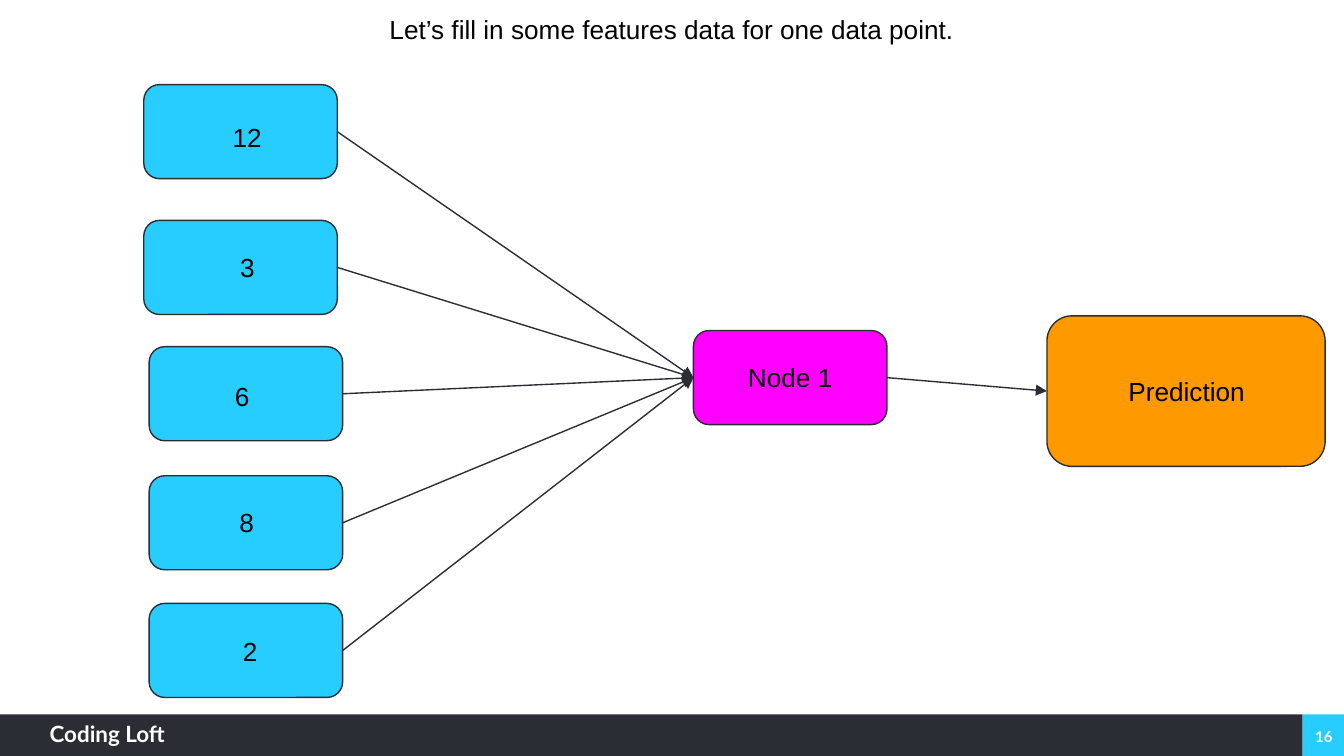
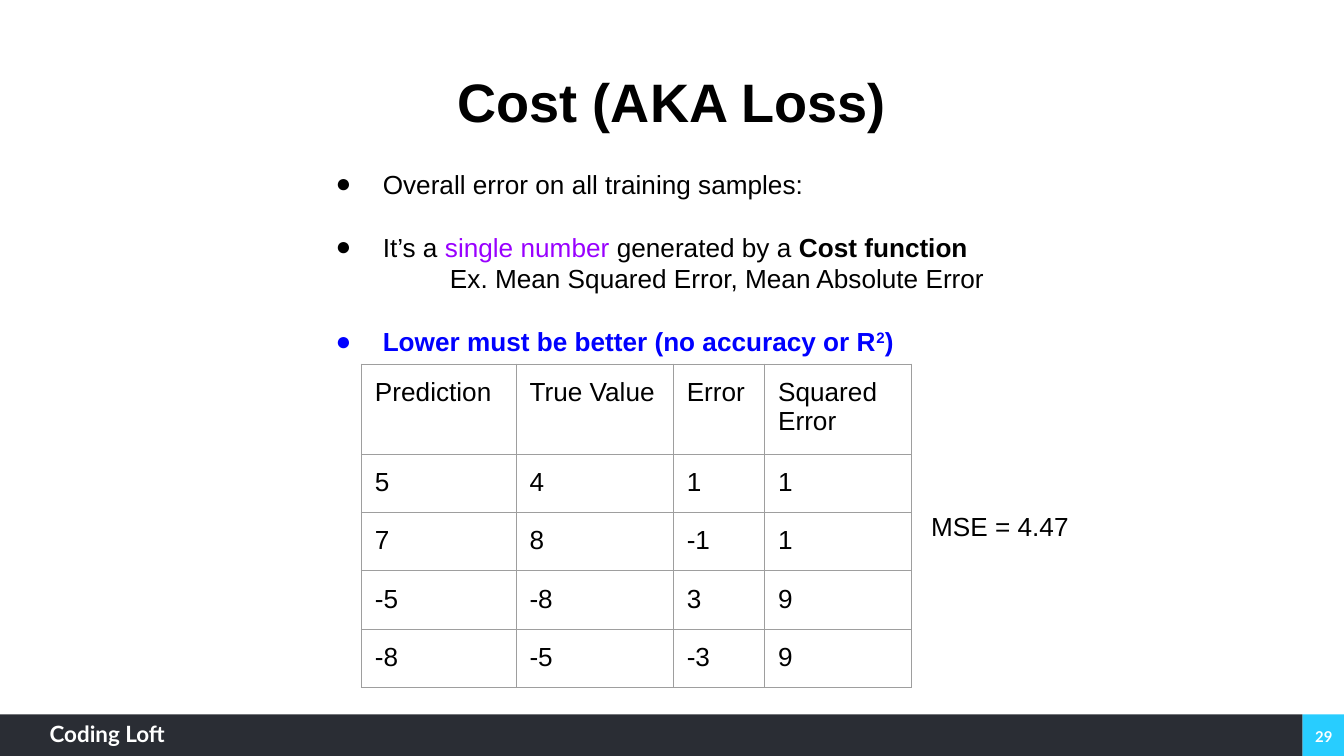
from dataclasses import dataclass

from lxml.etree import SubElement
from pptx import Presentation
from pptx.dml.color import RGBColor
from pptx.enum.shapes import MSO_CONNECTOR, MSO_SHAPE
from pptx.enum.text import MSO_ANCHOR, MSO_AUTO_SIZE, PP_ALIGN
from pptx.oxml.ns import qn
from pptx.shapes.autoshape import Shape
from pptx.slide import Slide
from pptx.text.text import _Paragraph as Paragraph
from pptx.util import Inches, Pt

BLACK = RGBColor(0x00, 0x00, 0x00)
WHITE = RGBColor(0xFF, 0xFF, 0xFF)
CYAN = RGBColor(0x28, 0xCD, 0xFF)
CHARCOAL = RGBColor(0x2A, 0x2D, 0x34)
ORANGE = RGBColor(0xFF, 0x99, 0x00)
MAGENTA = RGBColor(0xFF, 0x00, 0xFF)
PURPLE = RGBColor(0x99, 0x00, 0xFF)
BLUE = RGBColor(0x00, 0x00, 0xFF)
GRID_GREY = RGBColor(0x9E, 0x9E, 0x9E)

SLIDE_WIDTH = 10
SLIDE_HEIGHT = SLIDE_WIDTH * 9 / 16
BODY_FONT, FOOTER_FONT = "Arial", "Lato"
BODY_SIZE = 14
BAND_HEIGHT, BAND_WIDTH = 0.31, 9.69
BAND_TOP = SLIDE_HEIGHT - BAND_HEIGHT
NODE_WIDTH, NODE_HEIGHT = 1.44, 0.7
LABEL_HEIGHT = 0.44
OUTLINE = Pt(0.75)
TEXT_INSET = 0.1
RIGHT_SIDE, LEFT_SIDE = 3, 1


@dataclass(frozen=True)
class Box:
    """Position and size in inches."""
    left: float
    top: float
    width: float = NODE_WIDTH
    height: float = NODE_HEIGHT

    def lengths(self) -> tuple:
        """Return the four values as lengths."""
        return tuple(Inches(v) for v in (self.left, self.top, self.width, self.height))


@dataclass(frozen=True)
class Span:
    """A run of text and its look."""
    text: str
    color: RGBColor = BLACK
    bold: bool = False
    size: float = BODY_SIZE
    font: str = BODY_FONT
    superscript: bool = False


@dataclass(frozen=True)
class Point:
    """A paragraph of the cost explanation."""
    spans: tuple[Span, ...]
    bullet: RGBColor | None = None
    gap_after: float = 0


@dataclass(frozen=True)
class Feature:
    """An input value with its node and label positions."""
    value: str
    node: Box
    label: Box
    align: PP_ALIGN = PP_ALIGN.CENTER


FEATURES = (
    Feature("12", Box(1.07, 0.63), Box(1.27, 0.8, 1.14, LABEL_HEIGHT)),
    Feature("3", Box(1.07, 1.64), Box(1.27, 1.77, 1.14, LABEL_HEIGHT)),
    Feature("6", Box(1.11, 2.58), Box(1.65, 2.73, 0.47, 0.67), PP_ALIGN.LEFT),
    Feature("8", Box(1.11, 3.54), Box(1.55, 3.67, 0.57, LABEL_HEIGHT)),
    Feature("2", Box(1.11, 4.49), Box(1.71, 4.63, 0.24, LABEL_HEIGHT), PP_ALIGN.LEFT),
)

COST_POINTS = (
    Point((Span("Overall error on all training samples:"),), BLACK, 17),
    Point((Span("It’s a "), Span("single number", PURPLE), Span(" generated by a "),
           Span("Cost function", bold=True)), BLACK),
    Point((Span("Ex. Mean Squared Error, Mean Absolute Error"),), gap_after=17),
    Point((Span("Lower must be better (no accuracy or R", BLUE, True),
           Span("2", BLUE, True, superscript=True), Span(")", BLUE, True)), BLUE),
)

ERROR_COLUMNS = {"Prediction": 1.15, "True Value": 1.17, "Error": 0.68, "Squared Error": 1.09}
PREDICTIONS = ((5, 4), (7, 8), (-5, -8), (-8, -5))
HEADER_HEIGHT, ROW_HEIGHT = 0.67, 0.43


def add_span(paragraph: Paragraph, span: Span) -> None:
    """Append one formatted run."""
    run = paragraph.add_run()
    run.text = span.text
    run.font.name = span.font
    run.font.size = Pt(span.size)
    run.font.bold = span.bold
    run.font.color.rgb = span.color
    if span.superscript:
        run._r.get_or_add_rPr().set("baseline", "30000")


def add_text(slide: Slide, box: Box, *spans: Span, align: PP_ALIGN = PP_ALIGN.LEFT,
             insets: tuple[float, float] = (TEXT_INSET, TEXT_INSET), grow: bool = True,
             anchor: MSO_ANCHOR = MSO_ANCHOR.TOP) -> Shape:
    """Add a wrapping text box holding one paragraph."""
    label = slide.shapes.add_textbox(*box.lengths())
    frame = label.text_frame
    frame.word_wrap = True
    frame.auto_size = MSO_AUTO_SIZE.SHAPE_TO_FIT_TEXT if grow else MSO_AUTO_SIZE.NONE
    frame.vertical_anchor = anchor
    frame.margin_left = frame.margin_right = Inches(insets[0])
    frame.margin_top = frame.margin_bottom = Inches(insets[1])
    frame.paragraphs[0].alignment = align
    for span in spans:
        add_span(frame.paragraphs[0], span)
    return label


def add_block(slide: Slide, box: Box, fill: RGBColor,
              kind: MSO_SHAPE = MSO_SHAPE.RECTANGLE) -> Shape:
    """Add a flat filled shape without an outline."""
    block = slide.shapes.add_shape(kind, *box.lengths())
    block.shadow.inherit = False
    block.fill.solid()
    block.fill.fore_color.rgb = fill
    block.line.fill.background()
    return block


def add_node(slide: Slide, box: Box, fill: RGBColor) -> Shape:
    """Add an outlined rounded network node."""
    node = add_block(slide, box, fill, MSO_SHAPE.ROUNDED_RECTANGLE)
    node.line.color.rgb = CHARCOAL
    node.line.width = OUTLINE
    return node


def add_arrow(slide: Slide, source: Shape, target: Shape) -> None:
    """Join the right side of one node to the left side of another."""
    arrow = slide.shapes.add_connector(MSO_CONNECTOR.STRAIGHT, 0, 0, 0, 0)
    arrow.begin_connect(source, RIGHT_SIDE)
    arrow.end_connect(target, LEFT_SIDE)
    arrow.line.color.rgb = CHARCOAL
    arrow.line.width = OUTLINE
    SubElement(arrow.line._get_or_add_ln(), qn("a:tailEnd"), type="triangle")
    SubElement(arrow._element.spPr, qn("a:effectLst"))


def add_footer(slide: Slide, number: int) -> None:
    """Add the bottom band, the school name and the slide number."""
    add_block(slide, Box(BAND_WIDTH, BAND_TOP, SLIDE_WIDTH - BAND_WIDTH, BAND_HEIGHT), CYAN)
    add_block(slide, Box(0, BAND_TOP, BAND_WIDTH, BAND_HEIGHT), CHARCOAL)
    add_text(slide, Box(0.37, 5.36, 1.57, 0.23),
             Span("Coding Loft", WHITE, True, 12, FOOTER_FONT), insets=(0, 0), grow=False)
    add_text(slide, Box(9.7, 5.33, 0.3, 0.3),
             Span(str(number), WHITE, True, 8, FOOTER_FONT), align=PP_ALIGN.CENTER,
             insets=(0.07, 0.04), grow=False, anchor=MSO_ANCHOR.MIDDLE)


def format_point(paragraph: Paragraph, point: Point) -> None:
    """Write a point with its indent, spacing and bullet."""
    paragraph.space_after = Pt(point.gap_after)
    props = paragraph._p.get_or_add_pPr()
    props.set("marL", str(Inches(0.5 if point.bullet else 1)))
    props.set("indent", str(Inches(-0.35 if point.bullet else 0)))
    if point.bullet:
        bullet_color = SubElement(props, qn("a:buClr"))
        SubElement(bullet_color, qn("a:srgbClr"), val=str(point.bullet))
        SubElement(props, qn("a:buSzPts"), val=str(BODY_SIZE * 100))
        SubElement(props, qn("a:buFont"), typeface=BODY_FONT)
        SubElement(props, qn("a:buChar"), char="●")
    else:
        SubElement(props, qn("a:buNone"))
    for span in point.spans:
        add_span(paragraph, span)


def add_error_table(slide: Slide) -> None:
    """Add the table of predictions and their squared errors."""
    rows = [tuple(ERROR_COLUMNS)]
    rows += [(p, t, p - t, (p - t) ** 2) for p, t in PREDICTIONS]
    area = Box(2.69, 2.71, sum(ERROR_COLUMNS.values()),
               HEADER_HEIGHT + ROW_HEIGHT * len(PREDICTIONS))
    table = slide.shapes.add_table(len(rows), len(ERROR_COLUMNS), *area.lengths()).table
    table.first_row = table.horz_banding = False
    for column, width in zip(table.columns, ERROR_COLUMNS.values()):
        column.width = Inches(width)
    for index, values in enumerate(rows):
        table.rows[index].height = Inches(ROW_HEIGHT if index else HEADER_HEIGHT)
        for cell, value in zip(table.rows[index].cells, values):
            cell.margin_left = cell.margin_right = Inches(TEXT_INSET)
            cell.margin_top = cell.margin_bottom = Inches(TEXT_INSET)
            add_span(cell.text_frame.paragraphs[0], Span(str(value)))
            props = cell._tc.get_or_add_tcPr()
            for side in ("a:lnL", "a:lnR", "a:lnT", "a:lnB"):
                border = SubElement(props, qn(side), w=str(OUTLINE))
                fill = SubElement(border, qn("a:solidFill"))
                SubElement(fill, qn("a:srgbClr"), val=str(GRID_GREY))
            cell.fill.background()


def build_network_slide(slide: Slide) -> None:
    """Draw the features feeding one node and its prediction."""
    add_footer(slide, 16)
    add_text(slide, Box(2.8, 0, 5.44, LABEL_HEIGHT),
             Span("Let’s fill in some features data for one data point."))
    prediction = add_node(slide, Box(7.79, 2.35, 2.07, 1.12), ORANGE)
    hidden = add_node(slide, Box(5.16, 2.46), MAGENTA)
    for feature in FEATURES:
        add_arrow(slide, add_node(slide, feature.node, CYAN), hidden)
        add_text(slide, feature.label, Span(feature.value), align=feature.align)
    add_arrow(slide, hidden, prediction)
    add_text(slide, Box(5.31, 2.59, 1.14, LABEL_HEIGHT), Span("Node 1"),
             align=PP_ALIGN.CENTER)
    add_text(slide, Box(8.11, 2.69, 1.44, LABEL_HEIGHT), Span("Prediction"),
             align=PP_ALIGN.CENTER)


def build_cost_slide(slide: Slide) -> None:
    """Explain the cost with points and a worked table."""
    add_footer(slide, 29)
    add_text(slide, Box(2.16, 0.41, 5.68, 0.69),
             Span("Cost (AKA Loss)", bold=True, size=29), align=PP_ALIGN.CENTER)
    frame = add_text(slide, Box(2.25, 1.15, 5.5, 1.62), grow=False).text_frame
    for index, point in enumerate(COST_POINTS):
        format_point(frame.add_paragraph() if index else frame.paragraphs[0], point)
    add_error_table(slide)
    add_text(slide, Box(6.83, 3.7, 1.71, LABEL_HEIGHT), Span("MSE = 4.47"))


def main() -> None:
    """Build and save the presentation."""
    deck = Presentation()
    deck.slide_width, deck.slide_height = Inches(SLIDE_WIDTH), Inches(SLIDE_HEIGHT)
    blank = deck.slide_layouts[6]
    for build in (build_network_slide, build_cost_slide):
        build(deck.slides.add_slide(blank))
    deck.save("out.pptx")


if __name__ == "__main__":
    main()
